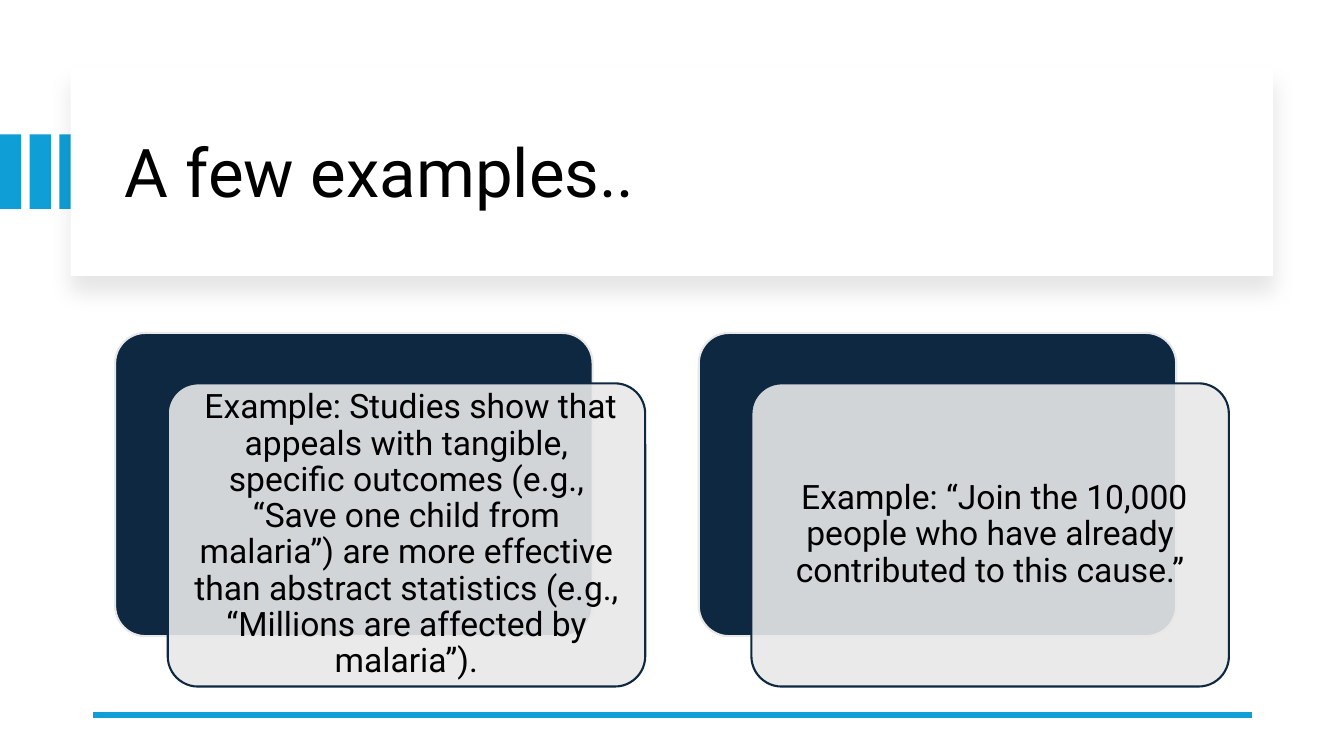
from dataclasses import dataclass

from lxml import etree
from pptx import Presentation
from pptx.dml.color import RGBColor
from pptx.enum import shapes, text
from pptx.oxml import ns
from pptx.util import Pt


@dataclass(frozen=True)
class Theme:
    font: str = "Roboto"
    title_size: int = 48
    body_size: int = 24
    ink: str = "000000"
    paper: str = "FFFFFF"
    accent: str = "0F9ED5"
    navy: str = "0E2841"
    mist: str = "E8E8E8"


THEME = Theme()
EXAMPLES = [
    " Example: Studies show that appeals with tangible, specific outcomes "
    "(e.g., “Save one child from malaria”) are more effective than abstract "
    "statistics (e.g., “Millions are affected by malaria”).",
    " Example: “Join the 10,000 people who have already contributed to this cause.”",
]


def add_block(slide, kind, box, fill, outline=None):
    block = slide.shapes.add_shape(kind, *map(Pt, box))
    block.shadow.inherit = False
    block.fill.solid()
    block.fill.fore_color.rgb = RGBColor.from_string(fill)
    if outline:
        block.line.color.rgb = RGBColor.from_string(outline)
        block.line.width = Pt(1.5)
    else:
        block.line.fill.background()
    return block


def write(shape, words, size, align):
    frame = shape.text_frame
    frame.word_wrap = True
    frame.vertical_anchor = text.MSO_ANCHOR.MIDDLE
    frame.margin_left = frame.margin_right = Pt(7.2)
    frame.text = words
    paragraph = frame.paragraphs[0]
    paragraph.alignment = align
    paragraph.line_spacing = 0.9
    font = paragraph.runs[0].font
    font.name, font.size = THEME.font, Pt(size)
    font.color.rgb = RGBColor.from_string(THEME.ink)


def add_alpha(color, percent):
    etree.SubElement(color, ns.qn("a:alpha"), val=str(percent * 1000))


def cast_shadow(shape):
    """Give the shape a soft shadow that falls straight down."""
    effects = shape._element.spPr.find(ns.qn("a:effectLst"))
    shadow = etree.SubElement(
        effects, ns.qn("a:outerShdw"), blurRad=str(Pt(15)), dist=str(Pt(11)),
        dir=str(90 * 60000), algn="t", rotWithShape="0")
    add_alpha(etree.SubElement(shadow, ns.qn("a:srgbClr"), val=THEME.ink), 10)


def build_header(slide, left, top, width, height):
    rect = shapes.MSO_SHAPE.RECTANGLE
    for stripe in range(3):
        add_block(slide, rect, (stripe * 21.2, top + 47.8, 15.1, 53.3), THEME.accent)
    cast_shadow(add_block(slide, rect, (left, top, width, height), THEME.paper))
    title_box = (left + 31.7, top + 16, width - 57.6, height - 26.6)
    title = slide.shapes.add_textbox(*map(Pt, title_box))
    write(title, "A few examples..", THEME.title_size, text.PP_ALIGN.LEFT)


def build_rule(slide, left, y, width):
    rule = slide.shapes.add_connector(
        shapes.MSO_CONNECTOR.STRAIGHT, Pt(left + width), Pt(y), Pt(left), Pt(y))
    rule.line.color.rgb = RGBColor.from_string(THEME.accent)
    rule.line.width = Pt(4.5)
    etree.SubElement(rule._element.spPr, ns.qn("a:effectLst"))


def build_example(slide, left, top, width, height, words):
    """Place a translucent text card, offset over a dark backing card."""
    rounded = shapes.MSO_SHAPE.ROUNDED_RECTANGLE
    backing = add_block(slide, rounded, (left, top, width, height),
                        THEME.navy, THEME.mist)
    card = add_block(slide, rounded, (left + 37.6, top + 36, width, height),
                     THEME.mist, THEME.navy)
    for layer in (backing, card):
        layer.adjustments[0] = 0.1
    add_alpha(card._element.spPr.find(ns.qn("a:solidFill"))[0], 90)
    card.text_frame.margin_top = card.text_frame.margin_bottom = Pt(7.2)
    write(card, words, THEME.body_size, text.PP_ALIGN.CENTER)


def main():
    deck = Presentation()
    deck.slide_width, deck.slide_height = Pt(960), Pt(540)
    slide = deck.slides.add_slide(deck.slide_layouts[6])
    build_header(slide, 50.5, 48.2, 859, 149)
    build_rule(slide, 66.2, 510.5, 828)
    for column, words in enumerate(EXAMPLES):
        build_example(slide, 82.2 + column * 416.9, 237.8, 341.1, 216.6, words)
    deck.save("out.pptx")


if __name__ == "__main__":
    main()
